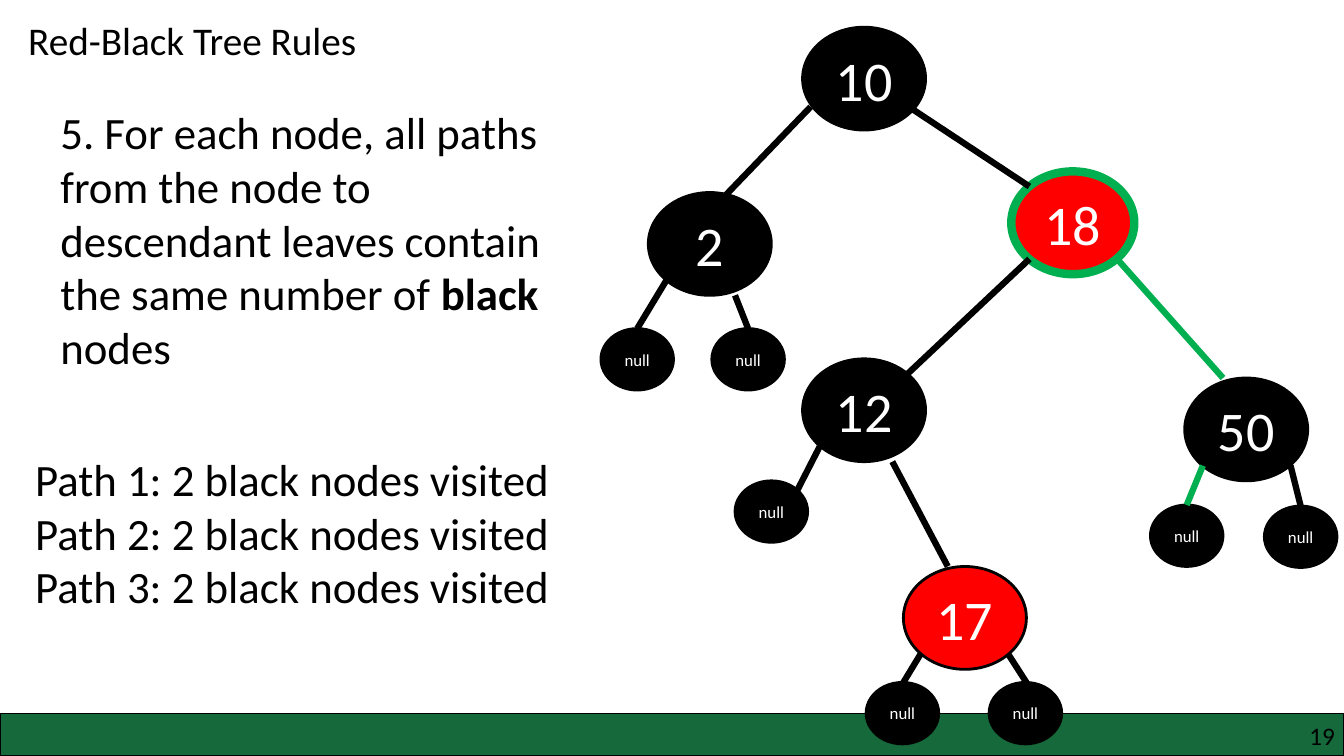
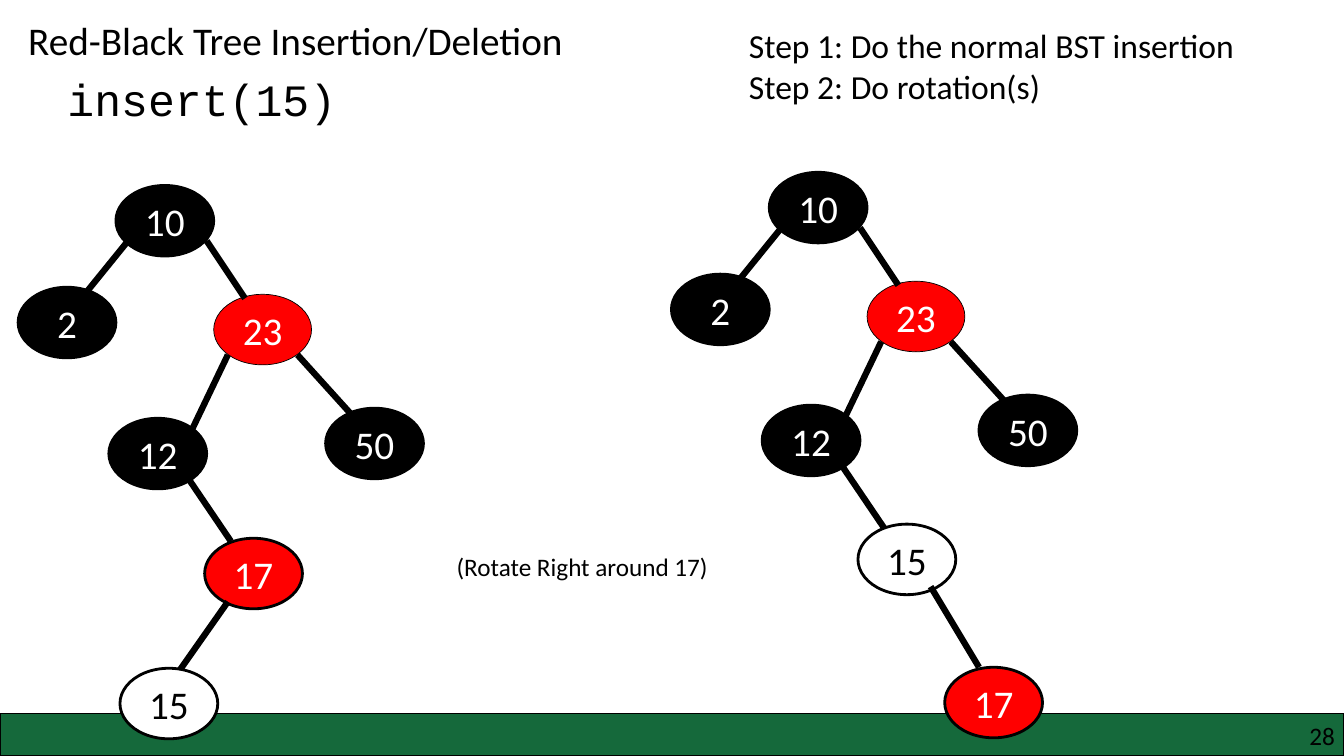
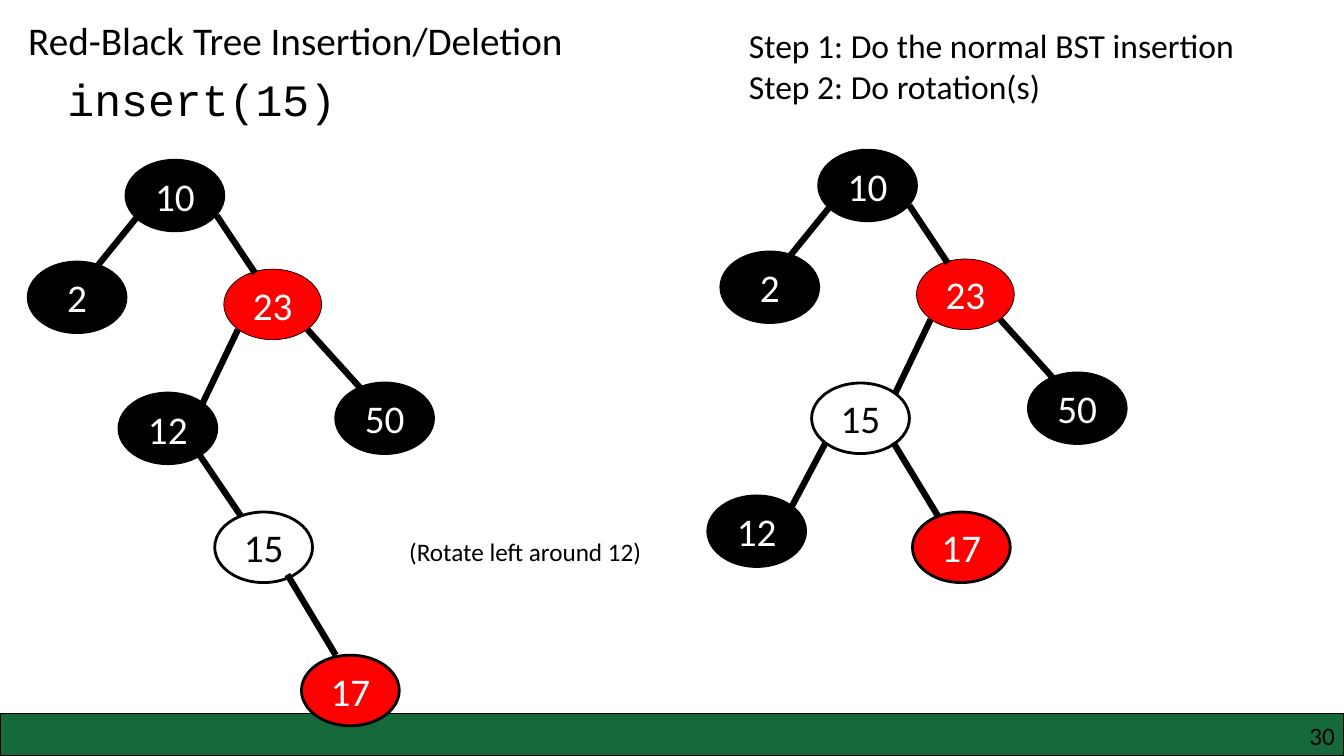
"""Build three slides on red-black tree rules and rotations."""
import dataclasses

import lxml.etree
import pptx
import pptx.dml.color
import pptx.enum.shapes
import pptx.enum.text
import pptx.oxml.ns
import pptx.util

Inches = pptx.util.Inches
Align = pptx.enum.text.PP_ALIGN
Anchor = pptx.enum.text.MSO_ANCHOR


@dataclasses.dataclass(frozen=True)
class Theme:
    black: str = "000000"
    white: str = "FFFFFF"
    red: str = "FF0000"
    path_green: str = "00B050"
    band_green: str = "15693B"
    font: str = "Calibri"
    code_font: str = "Courier New"
    title_size: int = 28
    body_size: int = 32
    step_size: int = 24
    note_size: int = 18
    edge_width: float = 4.5


@dataclasses.dataclass(frozen=True)
class NodeStyle:
    fill: str
    text: str
    outline: str
    outline_width: float
    width: float
    height: float
    size: int


theme = Theme()
color = pptx.dml.color.RGBColor.from_string

black = NodeStyle(theme.black, theme.white, theme.black, 2, 0.97, 0.7, 28)
red = dataclasses.replace(black, fill=theme.red)
thin_red = dataclasses.replace(red, outline_width=0.5)
inserted = dataclasses.replace(black, fill=theme.white, text=theme.black)
big_black = dataclasses.replace(black, width=1.22, height=1.02, size=40)
big_red = dataclasses.replace(big_black, fill=theme.red)
visited_red = dataclasses.replace(big_red, outline=theme.path_green, outline_width=6)
leaf = dataclasses.replace(black, width=0.72, height=0.61, size=12)


def write_text(shape, text, size, font=theme.font, text_color=theme.black, bold_word=None,
               align=Align.LEFT, anchor=Anchor.TOP, wrap=False, grow=True, margin=None):
    """Fill a shape with formatted text, one paragraph a line."""
    frame = shape.text_frame
    frame.word_wrap = wrap
    frame.vertical_anchor = anchor
    if grow:
        frame.auto_size = pptx.enum.text.MSO_AUTO_SIZE.SHAPE_TO_FIT_TEXT
    if margin is not None:
        frame.margin_left = frame.margin_right = Inches(margin)
        frame.margin_top = frame.margin_bottom = Inches(margin)
    for index, line in enumerate(text.split("\n")):
        paragraph = frame.paragraphs[0] if index == 0 else frame.add_paragraph()
        paragraph.alignment = align
        for part in line.partition(bold_word) if bold_word else [line]:
            run = paragraph.add_run()
            run.text = part
            run.font.name = font
            run.font.size = pptx.util.Pt(size)
            run.font.color.rgb = color(text_color)
            run.font.bold = part == bold_word


def draw_tree(slide, origin, nodes, edges, top_nodes=()):
    """Draw nodes, then edges, then the nodes that cover edges, all relative to the origin."""
    left, top = origin

    for group in (nodes, top_nodes):
        for label, x, y, style in group:
            node = slide.shapes.add_shape(
                pptx.enum.shapes.MSO_SHAPE.OVAL, Inches(left + x), Inches(top + y),
                Inches(style.width), Inches(style.height))
            node.shadow.inherit = False
            node.fill.solid()
            node.fill.fore_color.rgb = color(style.fill)
            node.line.color.rgb = color(style.outline)
            node.line.width = pptx.util.Pt(style.outline_width)
            write_text(node, label, style.size, text_color=style.text, align=Align.CENTER,
                       anchor=Anchor.MIDDLE, wrap=True, grow=False)
        if group is top_nodes:
            break
        for x1, y1, x2, y2, edge_color in edges:
            edge = slide.shapes.add_connector(
                pptx.enum.shapes.MSO_CONNECTOR.STRAIGHT, Inches(left + x1), Inches(top + y1),
                Inches(left + x2), Inches(top + y2))
            edge.line.color.rgb = color(edge_color)
            edge.line.width = pptx.util.Pt(theme.edge_width)
            lxml.etree.SubElement(edge._element.spPr, pptx.oxml.ns.qn("a:effectLst"))


rules_nodes = [
    ("10", 7.96, 0.27, big_black),
    ("18", 10.03, 1.7, visited_red),
    ("50", 11.75, 3.75, big_black),
    ("12", 7.96, 3.56, big_black),
    ("17", 8.96, 5.62, big_red),
    ("2", 6.43, 1.91, big_black),
] + [("null", x, y, leaf) for x, y in [
    (7.29, 4.77), (8.59, 6.77), (9.81, 6.77), (11.41, 5.01),
    (12.54, 5.02), (5.96, 3.26), (7.06, 3.26)]]
rules_edges = [(*ends, theme.black) for ends in [
    (8.04, 1.06, 7.04, 2.1),
    (9.06, 1.09, 10.21, 1.85),
    (10.21, 2.57, 9, 3.71),
    (8.85, 4.58, 9.4, 5.62),
    (6.61, 2.78, 6.32, 3.26),
    (7.29, 2.93, 7.42, 3.26),
    (8.13, 4.43, 7.91, 4.86),
    (9.13, 6.49, 8.96, 6.77),
    (10, 6.49, 10.18, 6.77),
    (12.8, 4.62, 12.9, 5.02),
]] + [(*ends, theme.path_green) for ends in [
    (11.08, 2.57, 12.13, 3.75),
    (11.93, 4.62, 11.77, 5.01),
]]

upper_nodes = [
    ("10", 0, 0, black),
    ("23", 0.97, 1.08, thin_red),
    ("50", 2.08, 2.21, black),
    ("2", -0.97, 1.01, black),
]
upper_edges = [
    (0.12, 0.55, -0.35, 1.13),
    (0.9, 0.55, 1.28, 1.12),
    (1.11, 1.68, 0.76, 2.41),
    (1.8, 1.68, 2.37, 2.31),
]
inner_edge = (0.72, 2.91, 1.14, 3.53)
inner_black = ("12", -0.07, 2.31, black)

after_insertion = (
    [inner_black, ("17", 0.88, 3.5, red)],
    [inner_edge, (1.11, 4.13, 0.59, 4.87)],
    [("15", 0.04, 4.79, inserted)])
after_right_rotation = (
    [inner_black, ("15", 0.88, 3.49, inserted)],
    [inner_edge, (1.6, 4.11, 2.08, 4.91)],
    [("17", 1.74, 4.91, red)])
after_left_rotation = (
    [("15", -0.07, 2.31, inserted), ("12", -1.1, 3.43, black)],
    [(0.07, 2.9, -0.27, 3.54), (0.74, 2.9, 1.22, 3.69)],
    [("17", 0.93, 3.59, red)])

insertion_title = ("Red-Black Tree Insertion/Deletion", 5.56)
insertion_texts = [
    ((0.57, 0.66, 2.9, 0.64), "insert(15)",
     dict(size=theme.body_size, font=theme.code_font)),
    ((7.33, 0.2, 5.06, 0.91), "Step 1: Do the normal BST insertion\nStep 2: Do rotation(s)",
     dict(size=theme.step_size)),
]
rules_texts = [
    ((0.5, 0.99, 5.22, 3.87),
     "5. For each node, all paths from the node to descendant leaves contain "
     "the same number of black nodes",
     dict(size=theme.body_size, bold_word="black", wrap=True)),
    ((0.25, 4.43, 5.46, 1.72),
     "\n".join(f"Path {number}: 2 black nodes visited" for number in (1, 2, 3)),
     dict(size=theme.body_size)),
]
right_note = ((4.43, 5.42, 2.72, 0.4), "(Rotate Right around 17)", dict(size=theme.note_size))
left_note = ((3.96, 5.27, 2.54, 0.4), "(Rotate left around 12)", dict(size=theme.note_size))

rotation_trees = {
    28: [((1.15, 1.84), after_insertion), ((7.63, 1.71), after_right_rotation)],
    30: [((1.25, 1.59), after_right_rotation), ((8.12, 1.49), after_left_rotation)],
}
slide_contents = [
    (19, ("Red-Black Tree Rules", 3.49), rules_texts),
    (28, insertion_title, insertion_texts + [right_note]),
    (30, insertion_title, insertion_texts + [left_note]),
]

presentation = pptx.Presentation()
presentation.slide_width = Inches(13.33)
presentation.slide_height = Inches(7.5)
title_only = presentation.slide_layouts[5]

for number, (title_text, title_width), texts in slide_contents:
    slide = presentation.slides.add_slide(title_only)

    title = slide.shapes.title
    title.left, title.top = Inches(0.18), Inches(0.11)
    title.width, title.height = Inches(title_width), Inches(0.57)
    write_text(title, title_text, theme.title_size)

    band = slide.shapes.add_shape(
        pptx.enum.shapes.MSO_SHAPE.RECTANGLE, 0, Inches(7.08), Inches(13.33), Inches(0.42))
    band.shadow.inherit = False
    band.fill.solid()
    band.fill.fore_color.rgb = color(theme.band_green)
    band.line.color.rgb = color(theme.black)
    band.line.width = pptx.util.Pt(1)

    page_number = slide.shapes.add_textbox(Inches(10.17), Inches(7.15), Inches(3.07), Inches(0.3))
    write_text(page_number, str(number), theme.note_size, align=Align.RIGHT, wrap=True, margin=0)

    for box, text, text_format in texts:
        text_box = slide.shapes.add_textbox(*map(Inches, box))
        write_text(text_box, text, **text_format)

    if number == 19:
        draw_tree(slide, (0, 0), rules_nodes, rules_edges)
    for origin, (lower_nodes, lower_edges, top_nodes) in rotation_trees.get(number, []):
        edges = [(*ends, theme.black) for ends in upper_edges + lower_edges]
        draw_tree(slide, origin, upper_nodes + lower_nodes, edges, top_nodes)

presentation.save("out.pptx")
